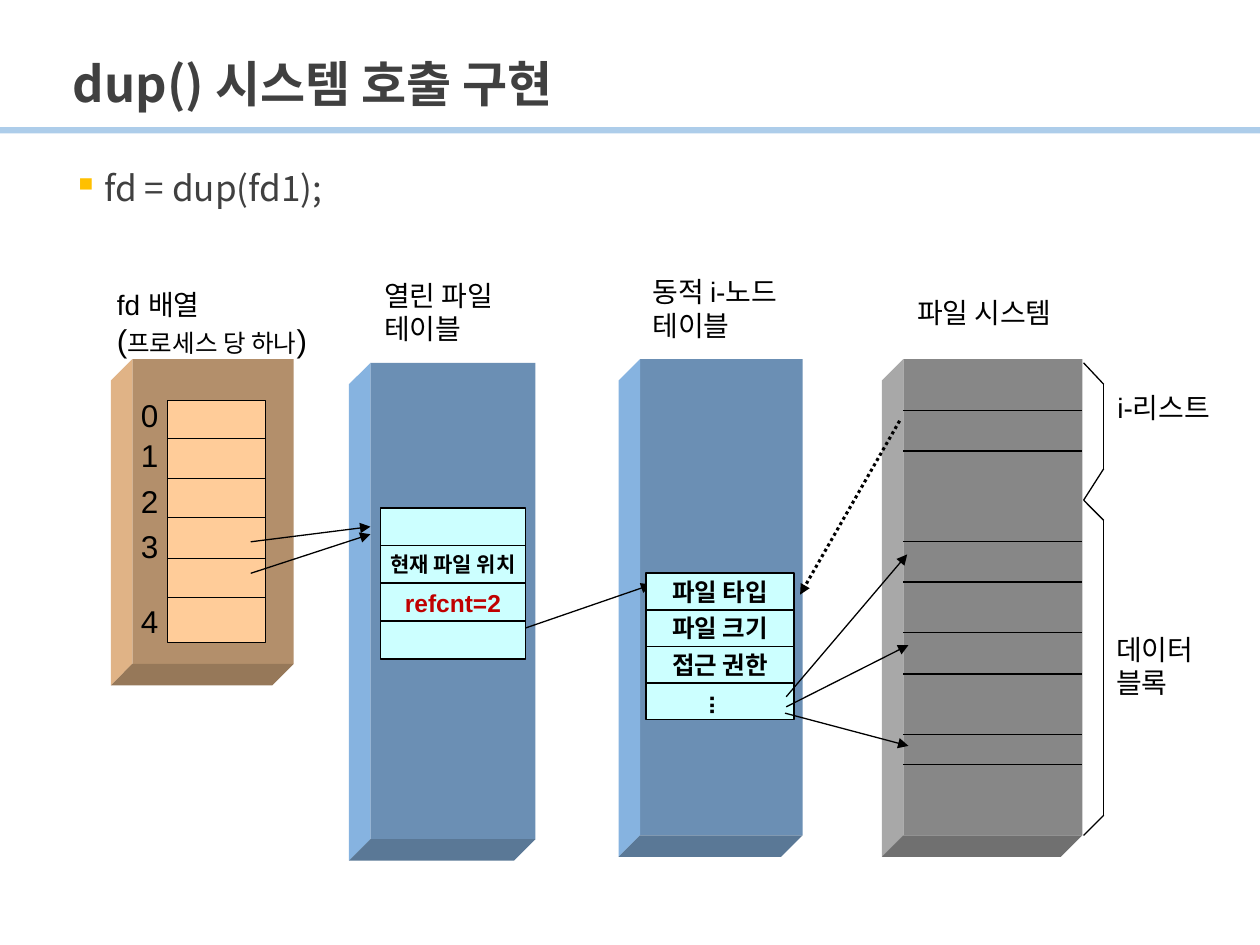
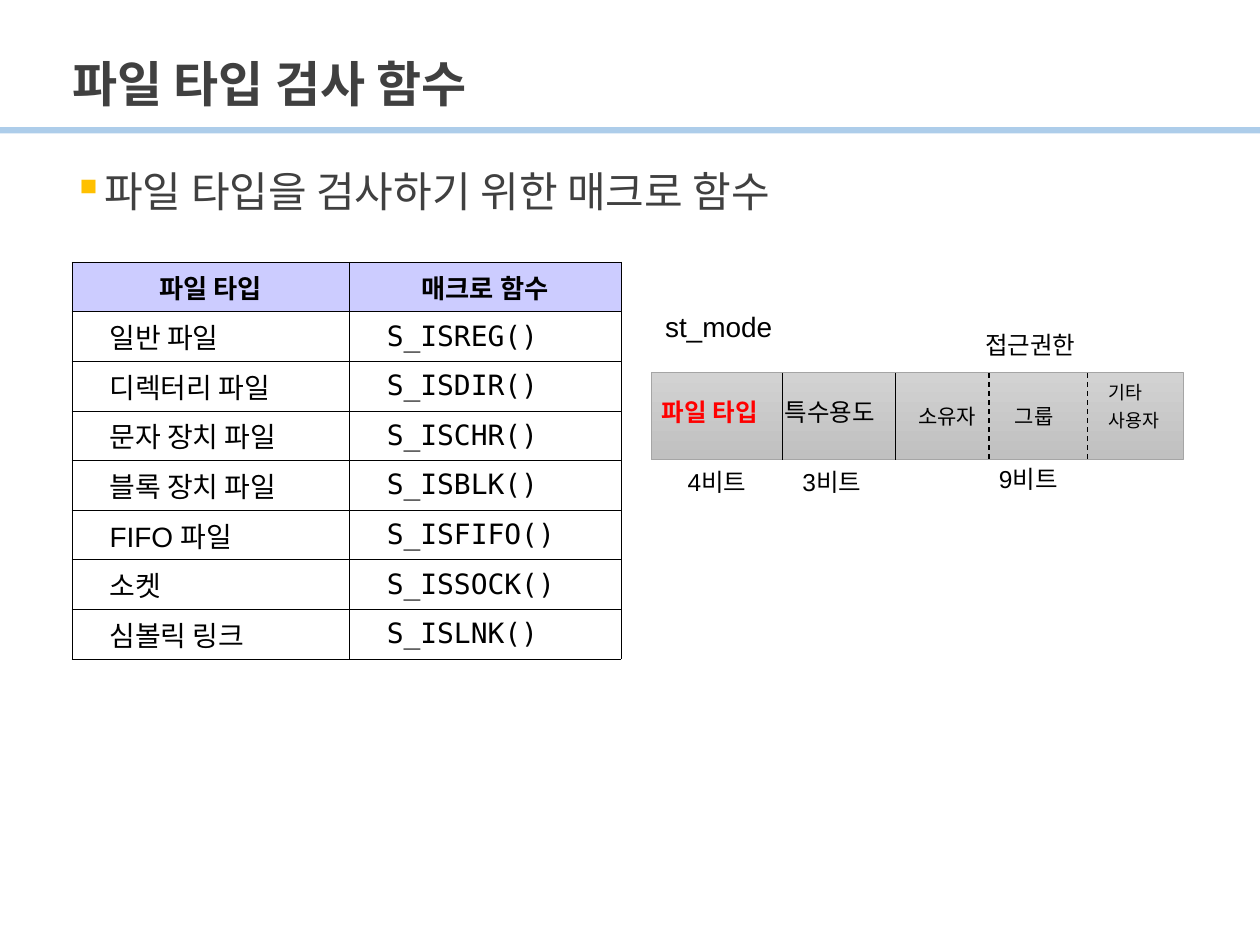
import dataclasses

import lxml.etree
import pptx
import pptx.dml.color
import pptx.enum.dml
import pptx.enum.shapes
import pptx.enum.text
import pptx.oxml.ns
import pptx.util

ALIGN = pptx.enum.text.PP_ALIGN
ANCHOR = pptx.enum.text.MSO_ANCHOR
DASH = pptx.enum.dml.MSO_LINE
RECTANGLE = pptx.enum.shapes.MSO_SHAPE.RECTANGLE
qn = pptx.oxml.ns.qn
rgb = pptx.dml.color.RGBColor.from_string


@dataclasses.dataclass(frozen=True)
class Theme:
    sans: str = "Arial"
    korean: str = "Noto Sans CJK KR"
    mono: str = "DejaVu Sans Mono"
    ink: str = "000000"
    heading: str = "404040"
    band: str = "ADCDEA"
    bullet: str = "FFC000"
    cell: str = "CCFFFF"
    slot: str = "FFCC99"
    refcount: str = "C00000"
    alert: str = "FF0000"
    table_head: str = "CCCCFF"
    bar_top: str = "D2D2D2"
    bar_bottom: str = "C0C0C0"
    bar_edge: str = "A5A5A5"
    # front, left side and underside of each pillar
    wood: tuple = ("B38F6B", "E0B386", "967859")
    blue: tuple = ("6B8FB4", "86B3E0", "5A7896")
    grey: tuple = ("878787", "A8A8A8", "707070")
    title_size: float = 28
    index_size: float = 18
    label_size: float = 16
    head_size: float = 15
    cell_size: float = 14
    small_size: float = 12
    tiny_size: float = 10.5
    hairline: float = 0.75


theme = Theme()
presentation = pptx.Presentation()
presentation.slide_width = pptx.util.Inches(10)
presentation.slide_height = pptx.util.Inches(7.5)
# The slide is a grid of 1000 columns by 750 rows of square cells.
CELL = presentation.slide_width // 1000


def add_box(slide, box, text="", size=theme.label_size, color=theme.ink, bold=False,
            font=theme.sans, fill=None, edge=None, edge_width=1):
    """Add a text box, or a rectangle with centred text when a fill is given."""
    left, top, width, height = (value * CELL for value in box)
    if fill:
        shape = slide.shapes.add_shape(RECTANGLE, left, top, width, height)
        shape.shadow.inherit = False
        shape.fill.solid()
        shape.fill.fore_color.rgb = rgb(fill)
        shape.line.fill.background()
        if edge:
            shape.line.color.rgb = rgb(edge)
            shape.line.width = pptx.util.Pt(edge_width)
    else:
        shape = slide.shapes.add_textbox(left, top, width, height)
    frame = shape.text_frame
    frame.word_wrap = not fill
    frame.vertical_anchor = ANCHOR.MIDDLE if fill else ANCHOR.TOP
    frame.text = text
    for paragraph in frame.paragraphs:
        paragraph.alignment = ALIGN.CENTER if fill else ALIGN.LEFT
        for run in paragraph.runs:
            run.font.size = pptx.util.Pt(size)
            run.font.bold = bold
            run.font.name = font
            run.font.color.rgb = rgb(color)
            lxml.etree.SubElement(run.font._element, qn("a:ea"), typeface=theme.korean)
    return shape


def add_line(slide, start, end, width=theme.hairline, dash=None, arrow=False):
    line = slide.shapes.add_connector(pptx.enum.shapes.MSO_CONNECTOR.STRAIGHT,
                                      *(value * CELL for value in (*start, *end)))
    line.line.color.rgb = rgb(theme.ink)
    line.line.width = pptx.util.Pt(width)
    if dash:
        line.line.dash_style = dash
    if arrow:
        lxml.etree.SubElement(line.line._get_or_add_ln(), qn("a:tailEnd"), type="triangle")
    lxml.etree.SubElement(line._element.spPr, qn("a:effectLst"))


# Shared frame: title, band and opening bullet
slides = []
for title, opening, opening_size in [
    ("dup() 시스템 호출 구현", "fd = dup(fd1);", 20),
    ("파일 타입 검사 함수", "파일 타입을 검사하기 위한 매크로 함수", 24),
]:
    slide = presentation.slides.add_slide(presentation.slide_layouts[6])
    slides.append(slide)
    add_box(slide, (0, 101, 1000, 5), fill=theme.band)
    heading = add_box(slide, (48, 15, 906, 80), title, theme.title_size, theme.heading,
                      True, theme.korean)
    heading.text_frame.vertical_anchor = ANCHOR.BOTTOM
    body = add_box(slide, (48, 131, 906, 571), opening, opening_size, theme.heading,
                   font=theme.korean)
    for shape in (heading, body):
        shape.text_frame.paragraphs[0].line_spacing = 0.9
    properties = body.text_frame.paragraphs[0]._p.get_or_add_pPr()
    properties.set("marL", str(25 * CELL))
    properties.set("indent", str(-25 * CELL))
    bullet_color = lxml.etree.SubElement(properties, qn("a:buClr"))
    lxml.etree.SubElement(bullet_color, qn("a:srgbClr"), val=theme.bullet)
    lxml.etree.SubElement(properties, qn("a:buChar"), char="▪")
dup_slide, macro_slide = slides

# Slide 1: pillars with a left side and an underside
DEPTH = 17
for left, top, width, height, (front, side, underside) in [
    (105, 285, 128, 242, theme.wood),
    (294, 288, 131, 378, theme.blue),
    (508, 285, 129, 378, theme.blue),
    (717, 285, 142, 378, theme.grey),
]:
    add_box(dup_slide, (left, top, width, height), fill=front)
    right, bottom = left + width, top + height
    back_left, back_bottom = left - DEPTH, bottom + DEPTH
    for color, corners in [
        (side, [(left, top), (left, bottom), (back_left, back_bottom),
                (back_left, top + DEPTH)]),
        (underside, [(left, bottom), (right, bottom), (right - DEPTH, back_bottom),
                     (back_left, back_bottom)]),
    ]:
        outline = dup_slide.shapes.build_freeform(*corners[0], scale=CELL)
        outline.add_line_segments(corners[1:])
        face = outline.convert_to_shape()
        face.shadow.inherit = False
        face.fill.solid()
        face.fill.fore_color.rgb = rgb(color)
        face.line.fill.background()

for box, label in [
    ((718, 230, 190, 37), "파일 시스템"),
    ((295, 216, 128, 64), "열린 파일 테이블"),
    ((508, 213, 164, 64), "동적 i-노드 테이블"),
    ((877, 305, 123, 37), "i-리스트"),
    ((876, 497, 108, 64), "데이터 블록"),
]:
    add_box(dup_slide, box, label)

# The array caption mixes three type sizes
caption = add_box(dup_slide, (83, 223, 195, 67), "fd 배열\v")
caption_line = caption.text_frame.paragraphs[0]
for text, size in [("(", theme.index_size), ("프로세스 당 하나", theme.cell_size),
                   (")", theme.index_size)]:
    run = caption_line.add_run()
    run.text = text
    run.font.size = pptx.util.Pt(size)
    run.font.name = theme.sans
    run.font.color.rgb = rgb(theme.ink)
    lxml.etree.SubElement(run.font._element, qn("a:ea"), typeface=theme.korean)

# File descriptor array
add_box(dup_slide, (133, 318, 78, 192), fill=theme.slot, edge=theme.ink,
        edge_width=theme.hairline)
for row in (348, 380, 411, 443, 474):
    add_line(dup_slide, (133, row), (211, row))
for top, index in [(309, "0"), (341, "1"), (378, "2"), (413, "3\v4")]:
    add_box(dup_slide, (102, top, 28, 40), index, theme.index_size)

# File system blocks and the bracket beside them
for row in (326, 358, 430, 462, 502, 535, 583, 607):
    add_line(dup_slide, (717, row), (859, row))
bracket = [(860, 288), (876, 305), (876, 372), (860, 397), (876, 413), (876, 647), (860, 663)]
for start, end in zip(bracket, bracket[1:]):
    add_line(dup_slide, start, end)

# The pointer to the i-node ends underneath its cells
add_line(dup_slide, (398, 505), (517, 464), arrow=True)
add_line(dup_slide, (714, 334), (635, 472), 1.75, DASH.ROUND_DOT, True)

for left, top, width, pitch, entries in [
    (302, 403, 115, 30, ["", "현재 파일 위치", "refcnt=2", ""]),
    (513, 455, 117, 29, ["파일 타입", "파일 크기", "접근 권한", "..."]),
]:
    for row, entry in enumerate(entries):
        cell = add_box(dup_slide, (left, top + row * pitch, width, pitch), entry,
                       theme.small_size if entry == "현재 파일 위치" else theme.cell_size,
                       theme.refcount if entry == "refcnt=2" else theme.ink,
                       True, fill=theme.cell, edge=theme.ink)
        if entry == "...":
            cell.text_frame._txBody.bodyPr.set("vert", "eaVert")

for start, end in [
    ((624, 553), (720, 440)),
    ((624, 561), (721, 512)),
    ((623, 566), (721, 592)),
    ((199, 430), (294, 418)),
    ((199, 455), (294, 424)),
]:
    add_line(dup_slide, start, end, arrow=True)

# Slide 2: macro table
macros = [
    ("파일 타입", "매크로 함수"),
    ("일반 파일", "S_ISREG()"),
    ("디렉터리 파일", "S_ISDIR()"),
    ("문자 장치 파일", "S_ISCHR()"),
    ("블록 장치 파일", "S_ISBLK()"),
    ("FIFO 파일", "S_ISFIFO()"),
    ("소켓", "S_ISSOCK()"),
    ("심볼릭 링크", "S_ISLNK()"),
]
table = macro_slide.shapes.add_table(len(macros), 2, 57 * CELL, 208 * CELL,
                                     436 * CELL, 315 * CELL).table
table.first_row = table.horz_banding = False
for column, width in zip(table.columns, (220, 216)):
    column.width = width * CELL
for row, entries in enumerate(macros):
    table.rows[row].height = 315 * CELL // len(macros)
    for column, entry in enumerate(entries):
        cell = table.cell(row, column)
        cell.margin_left = cell.margin_right = cell.margin_top = cell.margin_bottom = 2 * CELL
        cell.vertical_anchor = ANCHOR.MIDDLE
        cell.text_frame.text = entry
        paragraph = cell.text_frame.paragraphs[0]
        run = paragraph.runs[0]
        run.font.color.rgb = rgb(theme.ink)
        run.font.bold = row == 0
        run.font.size = pptx.util.Pt(theme.label_size if row else theme.head_size)
        run.font.name = theme.korean
        cell_properties = cell._tc.get_or_add_tcPr()
        for side in ("lnL", "lnR", "lnT", "lnB"):
            border = lxml.etree.SubElement(cell_properties, qn("a:" + side), w="3556")
            border_fill = lxml.etree.SubElement(border, qn("a:solidFill"))
            lxml.etree.SubElement(border_fill, qn("a:srgbClr"), val=theme.ink)
        if row == 0:
            paragraph.alignment = ALIGN.CENTER
            cell.fill.solid()
            cell.fill.fore_color.rgb = rgb(theme.table_head)
            continue
        cell.fill.background()
        paragraph.alignment = ALIGN.LEFT if column else ALIGN.JUSTIFY
        paragraph._p.get_or_add_pPr().set("marL", str(28 * CELL))
        if column:
            run.font.name = theme.mono
        elif entry[0].isascii():
            run.font.name = theme.sans
        lxml.etree.SubElement(run.font._element, qn("a:ea"), typeface=theme.korean)

# Slide 2: bit layout of st_mode
bar = add_box(macro_slide, (517, 296, 422, 69), fill=theme.bar_top, edge=theme.bar_edge,
              edge_width=0.5)
bar.fill.gradient()
bar.fill.gradient_angle = 270
for stop, color, position in zip(bar.fill.gradient_stops,
                                 (theme.bar_top, theme.bar_bottom), (0, 1)):
    stop.color.rgb = rgb(color)
    stop.position = position
for column, dash in [(621, None), (711, None), (785, DASH.DASH), (863, DASH.DASH)]:
    add_line(macro_slide, (column, 296), (column, 365), dash=dash)

add_box(macro_slide, (511, 310, 126, 34), " 파일 타입", theme.cell_size, theme.alert, True)
for box, label, size in [
    ((518, 241, 238, 44), "st_mode", theme.label_size),
    ((613, 310, 128, 40), "특수용도", theme.cell_size),
    ((772, 257, 143, 34), "접근권한", theme.cell_size),
    ((536, 366, 85, 40), "4비트", theme.cell_size),
    ((627, 366, 92, 40), "3비트", theme.cell_size),
    ((783, 363, 99, 40), "9비트", theme.cell_size),
    ((719, 315, 81, 36), "소유자", theme.small_size),
    ((792, 315, 81, 36), " 그룹", theme.small_size),
]:
    add_box(macro_slide, box, label, size)
others = add_box(macro_slide, (870, 298, 106, 64), "기타\n사용자", theme.tiny_size)
others.text_frame.paragraphs[1].space_before = pptx.util.Pt(3)

presentation.save("out.pptx")
